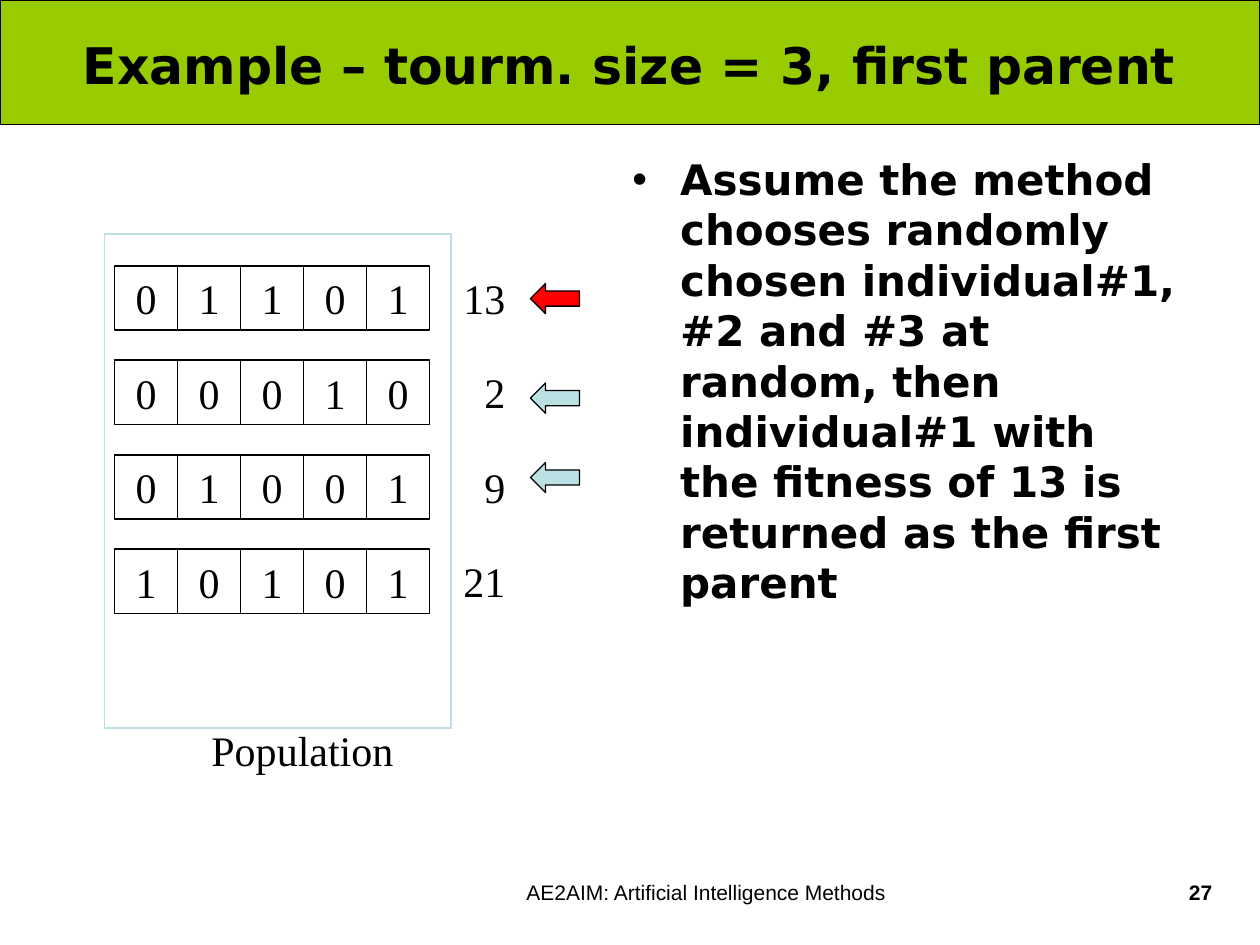
from lxml import etree
from pptx import Presentation
from pptx.dml.color import RGBColor
from pptx.enum import shapes, text
from pptx.oxml import ns
from pptx.util import Inches, Pt

# Content
TITLE = "Example – tourm. size = 3, first parent"
BODY = ("Assume the method chooses randomly chosen individual#1, #2 and #3 at random, "
        "then individual#1 with the fitness of 13 is returned as the first parent")
POPULATION = [("01101", "13"), ("00010", "2"), ("01001", "9"), ("10101", "21")]
CAPTION = "Population"
FOOTER = "AE2AIM: Artificial Intelligence Methods"
PAGE_NUMBER = "27"

# Style
BLACK, GREEN, PALE, RED = "000000", "99CC00", "BBE0E3", "FF0000"
HEADING, SERIF, SANS = "DejaVu Sans", "Times New Roman", "Arial"
LEFT, CENTER, RIGHT = text.PP_ALIGN.LEFT, text.PP_ALIGN.CENTER, text.PP_ALIGN.RIGHT
TOP, MIDDLE = text.MSO_ANCHOR.TOP, text.MSO_ANCHOR.MIDDLE

# Layout in inches; the arrows mark the tournament, red for its winner
GENE_LEFT, GENE_WIDTH, GENE_HEIGHT = 0.91, 0.5, 0.51
ROW_TOP, ROW_STEP = 2.11, 0.75
ARROWS = [(2.25, RED), (3.04, PALE), (3.67, PALE)]


def color(value):
    return RGBColor.from_string(value)


def write(shape, words, size, font, align=LEFT, bold=False, anchor=MIDDLE):
    frame = shape.text_frame
    frame.auto_size = text.MSO_AUTO_SIZE.NONE
    frame.word_wrap = True
    frame.vertical_anchor = anchor
    frame.text = words
    para = frame.paragraphs[0]
    para.alignment = align
    for span in para.runs:
        span.font.size, span.font.name, span.font.bold = Pt(size), font, bold
        span.font.color.rgb = color(BLACK)
    return para


def add_shape(page, kind, place, fill=None, line=BLACK, weight=0.75):
    shape = page.shapes.add_shape(kind, *map(Inches, place))
    shape.shadow.inherit = False
    if fill:
        shape.fill.solid()
        shape.fill.fore_color.rgb = color(fill)
    else:
        shape.fill.background()
    shape.line.color.rgb = color(line)
    shape.line.width = Pt(weight)
    return shape


def add_text(page, place, *args, **style):
    box = page.shapes.add_textbox(*map(Inches, place))
    return write(box, *args, **style)


def add_bullet(para, indent):
    props = para._p.get_or_add_pPr()
    props.set("marL", str(Inches(indent)))
    props.set("indent", str(-Inches(indent)))
    etree.SubElement(props, ns.qn("a:buFont")).set("typeface", SANS)
    etree.SubElement(props, ns.qn("a:buChar")).set("char", "•")


def main():
    deck = Presentation()
    deck.slide_width, deck.slide_height = Inches(10), Inches(7.5)
    page = deck.slides.add_slide(deck.slide_layouts[5])
    rect, arrow = shapes.MSO_SHAPE.RECTANGLE, shapes.MSO_SHAPE.LEFT_ARROW

    # Title over its banner
    banner = add_shape(page, rect, (0, 0, 10, 0.99), GREEN)
    title = page.shapes.title
    banner.element.addnext(title.element)
    title.left, title.top, title.width, title.height = map(Inches, (0.35, 0.02, 9.29, 0.98))
    write(title, TITLE, 28.8, HEADING, CENTER, bold=True)

    # Explanation
    para = add_text(page, (4.92, 1.17, 4.59, 5.57), BODY, 24, HEADING, bold=True, anchor=TOP)
    add_bullet(para, 0.38)

    # Population: genes and fitness of each individual
    add_shape(page, rect, (0.83, 1.86, 2.75, 3.92), line=PALE, weight=1)
    for row, (genes, fitness) in enumerate(POPULATION):
        top = ROW_TOP + row * ROW_STEP
        for column, gene in enumerate(genes):
            left = GENE_LEFT + column * GENE_WIDTH
            cell = add_shape(page, rect, (left, top, GENE_WIDTH, GENE_HEIGHT), weight=1)
            write(cell, gene, 24, SERIF, CENTER)
        add_text(page, (3.41, top, 0.7, 0.5), fitness, 24, SERIF, RIGHT)
    add_text(page, (1.58, 5.7, 2, 0.5), CAPTION, 24, SERIF)

    # Tournament arrows
    for top, fill in ARROWS:
        add_shape(page, arrow, (4.21, top, 0.39, 0.24), fill)

    # Footer
    add_text(page, (2.85, 6.93, 5.51, 0.52), FOOTER, 12, SANS, CENTER, anchor=TOP)
    add_text(page, (8.62, 6.93, 1.1, 0.52), PAGE_NUMBER, 12, SANS, RIGHT, bold=True, anchor=TOP)

    deck.save("out.pptx")


if __name__ == "__main__":
    main()
